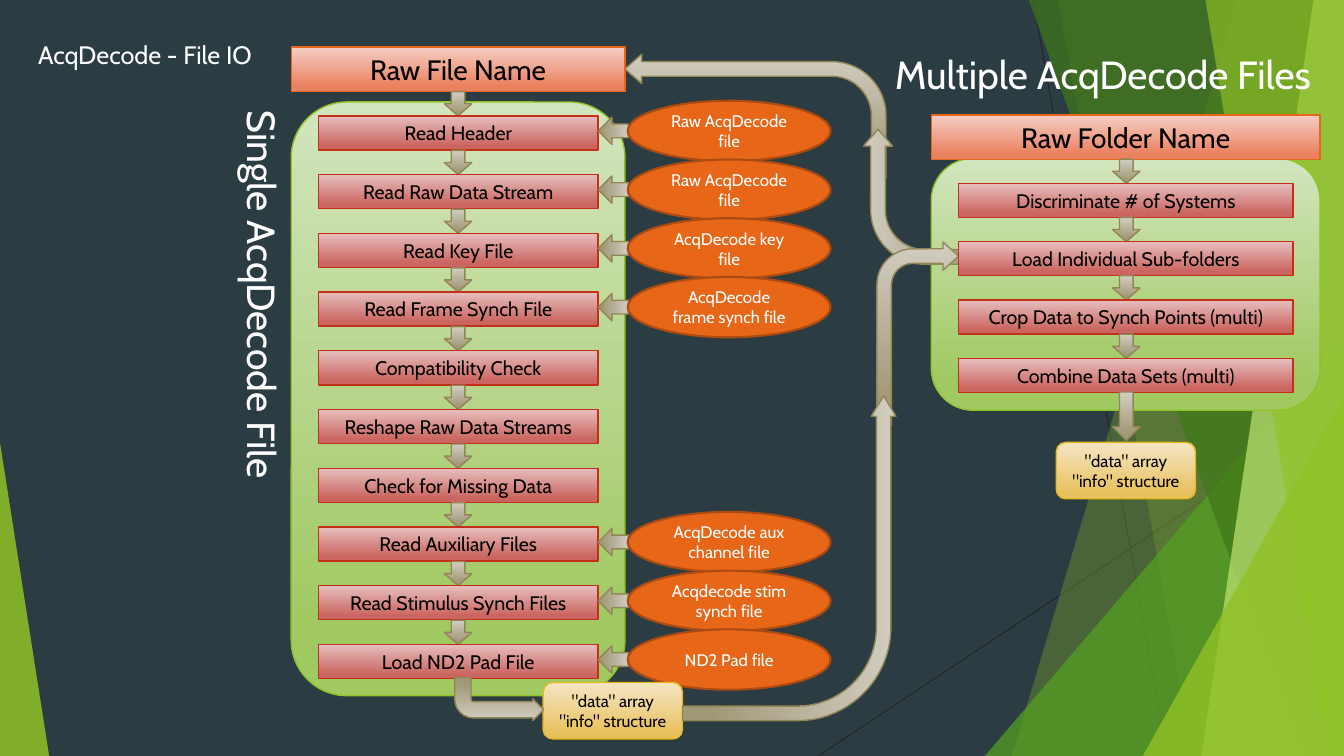
from lxml import etree
from pptx import Presentation
from pptx.dml.color import RGBColor
from pptx.enum.shapes import MSO_CONNECTOR, MSO_SHAPE
from pptx.enum.text import MSO_ANCHOR, PP_ALIGN
from pptx.oxml.ns import qn
from pptx.util import Cm, Pt

STRAIGHT = MSO_CONNECTOR.STRAIGHT
RECT = MSO_SHAPE.RECTANGLE
ROUNDED = MSO_SHAPE.ROUNDED_RECTANGLE
OVAL = MSO_SHAPE.OVAL
DOWN_ARROW = MSO_SHAPE.DOWN_ARROW
BENT_ARROW = MSO_SHAPE.BENT_ARROW
TRIANGLE = MSO_SHAPE.ISOSCELES_TRIANGLE
CENTER = PP_ALIGN.CENTER
MIDDLE = MSO_ANCHOR.MIDDLE
TOP = MSO_ANCHOR.TOP

FONT = "Cabin"
WIDTH, HEIGHT = 33.87, 19.05
STEP_HEIGHT = 0.86
ARROW_WIDTH, ARROW_HEIGHT = 0.69, 0.61

PANEL = (("D3E5BE", "A0C962"), "90C226")
HEADING = (("F5CEC5", "EA815F"), "E76618")
STEP = (("E6BFBE", "CB6560"), "C42F1A")
ARROW = (("D1CDC0", "A19877"), "918655")
RESULT = (("F5E5C5", "E9C260"), "E6B91E")
SOURCE = (("E76618",), "AB4B12")

FILE_STEPS = [
    ("Read Header", "Raw AcqDecode file"),
    ("Read Raw Data Stream", "Raw AcqDecode file"),
    ("Read Key File", "AcqDecode key file"),
    ("Read Frame Synch File", "AcqDecode frame synch file"),
    ("Compatibility Check", None),
    ("Reshape Raw Data Streams", None),
    ("Check for Missing Data", None),
    ("Read Auxiliary Files", "AcqDecode aux channel file"),
    ("Read Stimulus Synch Files", "Acqdecode stim synch file"),
    ("Load ND2 Pad File", "ND2 Pad file"),
]
FOLDER_STEPS = [
    "Discriminate # of Systems",
    "Load Individual Sub-folders",
    "Crop Data to Synch Points (multi)",
    "Combine Data Sets (multi)",
]
OUTPUT = '"data" array\n"info" structure'


def rgb(value):
    return RGBColor.from_string(value)


def format_text(frame, size, color, align=None):
    for paragraph in frame.paragraphs:
        paragraph.alignment = align
        for run in paragraph.runs:
            run.font.name = FONT
            run.font.size = Pt(size)
            run.font.color.rgb = rgb(color)


def paint(shape, style, line_width=1):
    fills, outline = style
    shape.shadow.inherit = False
    if len(fills) == 1:
        shape.fill.solid()
        shape.fill.fore_color.rgb = rgb(fills[0])
    else:
        shape.fill.gradient()
        shape.fill.gradient_angle = 270
        for stop, color, position in zip(shape.fill.gradient_stops, fills, (0, 0.88)):
            stop.color.rgb = rgb(color)
            stop.position = position
    shape.line.color.rgb = rgb(outline)
    shape.line.width = Pt(line_width)


def add_box(slide, kind, box, style, text="", size=14, color="000000", line_width=1):
    shape = slide.shapes.add_shape(kind, *map(Cm, box))
    paint(shape, style, line_width)
    if text:
        frame = shape.text_frame
        frame.text = text
        frame.word_wrap = True
        frame.vertical_anchor = MIDDLE
        format_text(frame, size, color, CENTER)
    return shape


def add_bent_arrow(slide, box, adjustments, rotation=0, flips=()):
    arrow = add_box(slide, BENT_ARROW, box, ARROW)
    for index, value in enumerate(adjustments):
        arrow.adjustments[index] = value
    arrow.rotation = rotation
    for flip in flips:
        arrow._element.spPr.xfrm.set(flip, "1")


def add_label(slide, box, text, size, wrap=True, vertical=False):
    label = slide.shapes.add_textbox(*map(Cm, box))
    frame = label.text_frame
    frame.text = text
    frame.word_wrap = wrap
    frame.vertical_anchor = TOP
    if vertical:
        frame._txBody.bodyPr.set("vert", "vert")
    format_text(frame, size, "FFFFFF")


def tint(shape, color, opacity):
    shape.shadow.inherit = False
    shape.fill.solid()
    shape.fill.fore_color.rgb = rgb(color)
    shape.line.fill.background()
    srgb = shape._element.spPr.find(".//" + qn("a:srgbClr"))
    etree.SubElement(srgb, qn("a:alpha")).set("val", str(opacity * 1000))


def add_facet(slide, top_x, bottom_x, color, opacity):
    builder = slide.shapes.build_freeform(Cm(top_x), 0)
    corners = [(WIDTH, 0), (WIDTH, HEIGHT), (bottom_x, HEIGHT)]
    builder.add_line_segments([(Cm(x), Cm(y)) for x, y in corners], close=True)
    tint(builder.convert_to_shape(), color, opacity)


def add_triangle(slide, box, apex, color, opacity):
    triangle = slide.shapes.add_shape(TRIANGLE, *map(Cm, box))
    triangle.adjustments[0] = apex
    tint(triangle, color, opacity)


def add_thin_line(slide, ends):
    line = slide.shapes.add_connector(STRAIGHT, *map(Cm, ends))
    line.line.color.rgb = rgb("262626")
    line.line.width = Pt(0.75)
    etree.SubElement(line._element.spPr, qn("a:effectLst"))


def add_backdrop(slide):
    slide.background.fill.solid()
    slide.background.fill.fore_color.rgb = rgb("2C3C43")
    add_thin_line(slide, (26.04, 0, 29.41, HEIGHT))
    add_thin_line(slide, (WIDTH, 10.24, 20.62, HEIGHT))
    add_facet(slide, 31.19, 25.5, "90C226", 30)
    add_facet(slide, 26.67, 30.05, "90C226", 20)
    add_triangle(slide, (24.82, 8.46, 9.05, 10.59), 1, "54A021", 72)
    add_facet(slide, 25.93, 32.79, "3F7819", 70)
    add_facet(slide, 33.1, 30.28, "C0E474", 70)
    add_facet(slide, 30.38, 33.48, "90C226", 65)
    add_triangle(slide, (28.8, 9.98, 5.07, 9.07), 1, "90C226", 80)
    add_triangle(slide, (0, 11.15, 1.24, 7.9), 0, "90C226", 85)


def add_step(slide, left, top, width, arrow_left, text):
    add_box(slide, DOWN_ARROW,
            (arrow_left, top - ARROW_HEIGHT, ARROW_WIDTH, ARROW_HEIGHT), ARROW)
    add_box(slide, RECT, (left, top, width, STEP_HEIGHT), STEP, text)


def add_source(slide, step_top, text):
    arrow = add_box(slide, DOWN_ARROW, (15.11, step_top, ARROW_WIDTH, 0.76), ARROW)
    arrow.rotation = 90
    add_box(slide, OVAL, (15.82, step_top - 0.38, 5.11, 1.52), SOURCE,
            text, 12, "FFFFFF", 1.5)


def add_single_file_flow(slide):
    add_box(slide, ROUNDED, (7.34, 2.57, 8.41, 14.96), PANEL)
    add_box(slide, RECT, (7.34, 1.19, 8.41, 1.12), HEADING, "Raw File Name", 20)
    for index, (step, source) in enumerate(FILE_STEPS):
        top = 2.92 + 1.48 * index
        add_step(slide, 8.03, top, 7.04, 11.2, step)
        if source:
            add_source(slide, top, source)
    add_box(slide, ROUNDED, (13.69, 17.2, 3.51, 1.42), RESULT, OUTPUT, 12)
    add_bent_arrow(slide, (11.46, 17.07, 2.24, 1.09),
                   (0.377, 0.25, 0.25, 0.438), flips=("flipV",))
    add_bent_arrow(slide, (15.8, 11.38, 8.18, 5.38),
                   (0.068, 0.058, 0.095, 0.438), 270, ("flipV",))


def add_folder_flow(slide):
    add_box(slide, RECT, (23.47, 2.9, 9.8, 1.12), HEADING, "Raw Folder Name", 20)
    for index, step in enumerate(FOLDER_STEPS):
        add_step(slide, 24.16, 4.62 + 1.47 * index, 8.43, 28.04, step)
    add_box(slide, DOWN_ARROW, (28.04, 9.88, ARROW_WIDTH, 1.22), ARROW)
    add_box(slide, ROUNDED, (26.62, 11.15, 3.51, 1.42), RESULT, OUTPUT, 12)


def main():
    deck = Presentation()
    deck.slide_width, deck.slide_height = Cm(WIDTH), Cm(HEIGHT)
    slide = deck.slides.add_slide(deck.slide_layouts[6])
    add_backdrop(slide)
    add_box(slide, ROUNDED, (23.47, 3.99, 9.8, 6.35), PANEL)
    loop_bend = (0.118, 0.118, 0.135, 0.438)
    add_bent_arrow(slide, (15.75, 1.37, 6.58, 3.12), loop_bend, flips=("flipH",))
    add_bent_arrow(slide, (21.62, 3.4, 3.4, 3.12), loop_bend, 90, ("flipH", "flipV"))
    add_bent_arrow(slide, (22.1, 6.1, 2.06, 4.62), (0.178, 0.172, 0.191, 0.438))
    add_label(slide, (0.71, 0.86, 6.15, 1.02), "AcqDecode - File IO", 18, wrap=False)
    add_label(slide, (5.64, 2.54, 1.7, 11.61), "Single AcqDecode File", 28, vertical=True)
    add_single_file_flow(slide)
    add_folder_flow(slide)
    add_label(slide, (22.3, 1.14, 11.61, 1.7), "Multiple AcqDecode Files", 28)
    deck.save("out.pptx")


if __name__ == "__main__":
    main()
